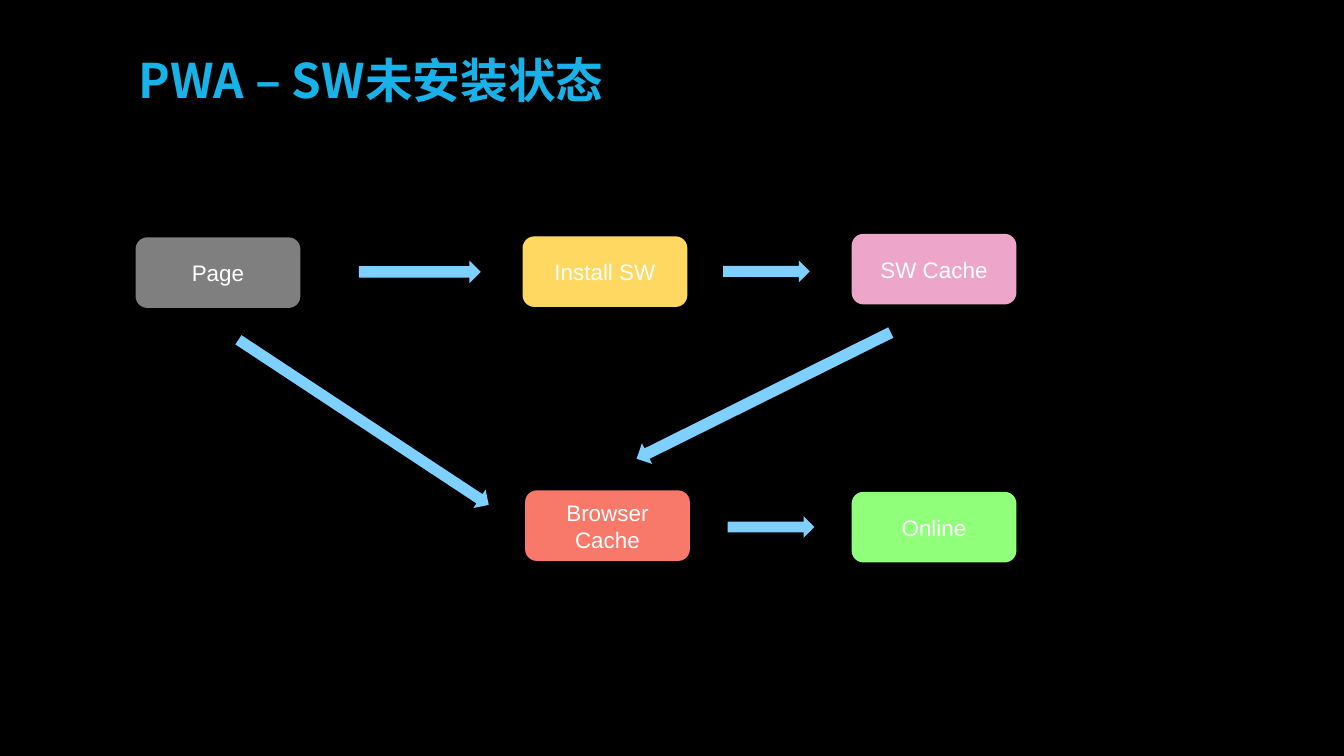
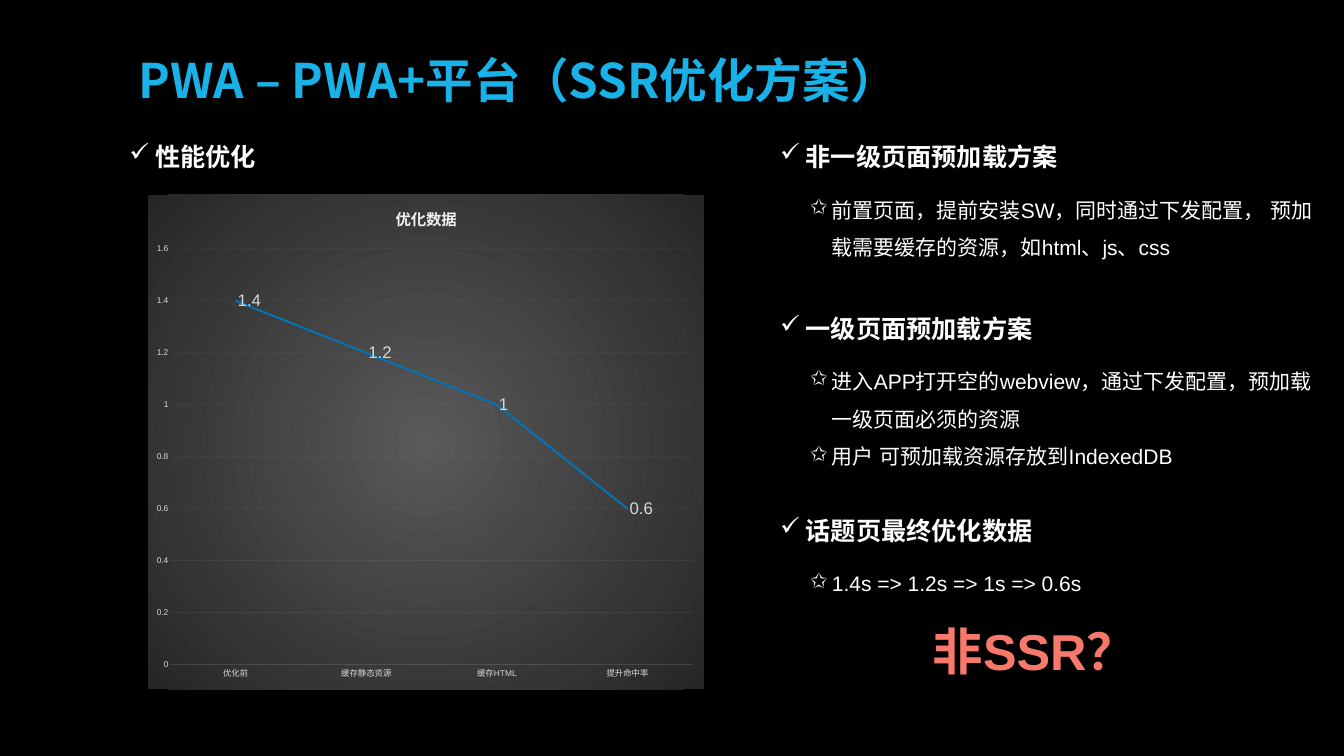
from pptx import Presentation
from pptx.chart.data import CategoryChartData
from pptx.dml.color import RGBColor
from pptx.enum.chart import XL_CHART_TYPE, XL_LABEL_POSITION, XL_TICK_MARK
from pptx.enum.shapes import MSO_SHAPE
from pptx.enum.text import MSO_ANCHOR, PP_ALIGN
from pptx.oxml import parse_xml
from pptx.oxml.ns import nsdecls, qn
from pptx.util import Pt

EMU_PER_PX = 9144
COLORS = {
    "background": "000000", "title": "18B2E8", "text": "FFFFFF",
    "gray": "7F7F7F", "yellow": "FFD862", "pink": "EDA6CA",
    "green": "90FF7A", "coral": "F8786A", "arrow": "7DD0FF",
    "axis": "D9D9D9", "grid": "F2F2F2",
    "chart_center": "595959", "chart_edge": "262626",
    "series_1": "0076BA", "series_2": "00A89D", "series_3": "1DB100",
}
FONTS = {
    "title": {"name": "Noto Sans CJK SC", "size": Pt(68), "bold": True},
    "node": {"name": "Arial", "size": Pt(32)},
    "heading": {"name": "Arial", "size": Pt(36), "bold": True},
    "detail": {"name": "Arial", "size": Pt(30)},
    "question": {"name": "Arial", "size": Pt(72), "bold": True},
    "chart": {"name": "Arial", "size": Pt(10)},
    "chart_title": {"name": "Arial", "size": Pt(22), "bold": True},
    "axis": {"name": "Arial", "size": Pt(12), "bold": False},
    "value": {"name": "Arial", "size": Pt(24)},
}
TIGHT = {"margin_left": 6, "margin_top": 6, "margin_right": 6, "margin_bottom": 6}
ROOMY = {"margin_left": 10, "margin_top": 5, "margin_right": 10, "margin_bottom": 5}
NODE_SIZE = (327, 140)


def px(length):
    return int(length * EMU_PER_PX)


def rgb(color):
    return RGBColor.from_string(COLORS[color])


def apply_format(target, values):
    for attribute, value in values.items():
        setattr(target, attribute, value)


def style_font(font, role, color):
    apply_format(font, FONTS[role])
    font.color.rgb = rgb(color)


def write(paragraph, text, role, color):
    run = paragraph.add_run()
    run.text = text
    style_font(run.font, role, color)
    east_asian = parse_xml(f'<a:ea {nsdecls("a")} typeface="{FONTS[role]["name"]}"/>')
    run.font._element.find(qn("a:latin")).addnext(east_asian)


def prepare_frame(frame, margins, anchor=MSO_ANCHOR.TOP):
    apply_format(frame, {side: px(gap) for side, gap in margins.items()})
    apply_format(frame, {"word_wrap": True, "vertical_anchor": anchor})
    return frame


def add_frame(slide, box, margins, anchor=MSO_ANCHOR.TOP):
    return prepare_frame(slide.shapes.add_textbox(*map(px, box)).text_frame, margins, anchor)


def add_slide(deck, title):
    slide = deck.slides.add_slide(deck.slide_layouts[6])
    slide.background.fill.solid()
    slide.background.fill.fore_color.rgb = rgb("background")
    heading = add_frame(slide, (269, 107, 2128, 143), TIGHT).paragraphs[0]
    heading.line_spacing = 0.9
    write(heading, title, "title", "title")
    return slide


def add_block(slide, preset, box, color):
    block = slide.shapes.add_shape(preset, *map(px, box))
    block.shadow.inherit = False
    block.fill.solid()
    block.fill.fore_color.rgb = rgb(color)
    block.line.fill.background()
    return block


def add_node(slide, label, left, top, color):
    node = add_block(slide, MSO_SHAPE.ROUNDED_RECTANGLE, (left, top, *NODE_SIZE), color)
    line = prepare_frame(node.text_frame, TIGHT, MSO_ANCHOR.MIDDLE).paragraphs[0]
    line.alignment = PP_ALIGN.CENTER
    write(line, label, "node", "text")


def add_arrow(slide, box, rotation=0):
    add_block(slide, MSO_SHAPE.RIGHT_ARROW, box, "arrow").rotation = rotation


def add_bullets(slide, box, texts, symbol, hang, role, spacing):
    frame = add_frame(slide, box, ROOMY)
    for index, text in enumerate(texts):
        item = frame.add_paragraph() if index else frame.paragraphs[0]
        item.line_spacing = spacing
        properties = item._p.get_or_add_pPr()
        properties.set("marL", str(px(hang)))
        properties.set("indent", str(-px(hang)))
        for bullet in (
            f'<a:buClr {nsdecls("a")}><a:srgbClr val="{COLORS["text"]}"/></a:buClr>',
            f'<a:buChar {nsdecls("a")} char="{symbol}"/>',
        ):
            properties.append(parse_xml(bullet))
        write(item, text, role, "text")


def add_heading(slide, text, left, top):
    add_bullets(slide, (left, top, 945, 71), [text], "✓", 51, "heading", 1.0)


def add_topic(slide, heading, details, top, details_height):
    add_heading(slide, heading, 1538, top)
    add_bullets(slide, (1598, top + 85, 1025, details_height), details, "✩", 43, "detail", 1.5)


def style_axis(axis):
    apply_format(axis, {"major_tick_mark": XL_TICK_MARK.NONE, "minor_tick_mark": XL_TICK_MARK.NONE})
    style_font(axis.tick_labels.font, "axis", "axis")


def style_hairline(line):
    line.width = Pt(0.75)
    line.color.rgb = rgb("grid")


def shade_chart(chart):
    stops = "".join(
        f'<a:gs pos="{position}"><a:srgbClr val="{COLORS[color]}"/></a:gs>'
        for position, color in ((0, "chart_center"), (100000, "chart_edge"))
    )
    chart._chartSpace.find(qn("c:chart")).addnext(parse_xml(
        f'<c:spPr {nsdecls("c", "a")}><a:gradFill><a:gsLst>{stops}</a:gsLst>'
        '<a:path path="circle"><a:fillToRect l="50000" t="50000" r="50000" b="50000"/></a:path>'
        '</a:gradFill><a:ln><a:noFill/></a:ln></c:spPr>'
    ))


def place_plot(chart, x, y, w, h):
    plot_area = chart._chartSpace.chart.plotArea
    for layout in plot_area.findall(qn("c:layout")):
        plot_area.remove(layout)
    sizes = "".join(f'<c:{side} val="{share}"/>' for side, share in zip("xywh", (x, y, w, h)))
    plot_area.insert(0, parse_xml(
        f'<c:layout {nsdecls("c")}><c:manualLayout><c:layoutTarget val="inner"/>'
        f'<c:xMode val="edge"/><c:yMode val="edge"/>{sizes}</c:manualLayout></c:layout>'
    ))


def add_load_time_chart(slide):
    load_times = CategoryChartData()
    load_times.categories = ["优化前", "缓存静态资源", "缓存HTML", "提升命中率"]
    load_times.add_series("Series 1", (1.4, 1.2, 1, 0.6))
    for name in ("Series 2", "Series 3"):
        load_times.add_series(name, (1, None, None, None))
    chart = slide.shapes.add_chart(
        XL_CHART_TYPE.LINE, *map(px, (294, 386, 1103, 982)), load_times
    ).chart
    chart.has_legend = False
    style_font(chart.font, "chart", "text")
    chart.has_title = True
    write(chart.chart_title.text_frame.paragraphs[0], "优化数据", "chart_title", "grid")
    chart.chart_title.include_in_layout = False

    stages, seconds = chart.category_axis, chart.value_axis
    for axis in (stages, seconds):
        style_axis(axis)
    apply_format(seconds, {"minimum_scale": 0, "maximum_scale": 1.6, "major_unit": 0.2})
    seconds.format.line.fill.background()
    for line in (stages.format.line, seconds.major_gridlines.format.line):
        style_hairline(line)
    for axis in (stages, seconds):
        for color in axis._element.xpath(".//a:ln//a:srgbClr"):
            color.append(parse_xml(f'<a:alpha {nsdecls("a")} val="10000"/>'))

    plot = chart.plots[0]
    plot.vary_by_categories = False
    for number, series in enumerate(plot.series, 1):
        series.smooth = False
        series.format.line.width = Pt(2.75)
        series.format.line.color.rgb = rgb(f"series_{number}")
    labels = plot.series[0].data_labels
    apply_format(labels, {"show_value": True, "position": XL_LABEL_POSITION.RIGHT})
    style_font(labels.font, "value", "axis")
    shade_chart(chart)
    place_plot(chart, 0.04, 0.11, 0.94, 0.84)


def build_install_flow(deck):
    slide = add_slide(deck, "PWA – SW未安装状态")
    for node in (
        ("Page", 269, 471, "gray"),
        ("Install SW", 1037, 469, "yellow"),
        ("SW Cache", 1690, 464, "pink"),
        ("Online", 1690, 976, "green"),
        ("Browser Cache", 1042, 973, "coral"),
    ):
        add_node(slide, *node)
    add_arrow(slide, (424, 816, 595, 44), 33.4)
    add_arrow(slide, (1234, 762, 563, 46), 153.6)
    for box in ((1435, 517, 172, 43), (1444, 1024, 172, 43), (712, 517, 242, 45)):
        add_arrow(slide, box)


def build_optimization(deck):
    slide = add_slide(deck, "PWA – PWA+平台（SSR优化方案）")
    add_heading(slide, "性能优化", 247, 276)
    add_load_time_chart(slide)
    add_topic(slide, "非一级页面预加载方案", [
        "前置页面，提前安装SW，同时通过下发配置， 预加载需要缓存的资源，如html、js、css",
    ], 276, 241)
    add_topic(slide, "一级页面预加载方案", [
        "进入APP打开空的webview，通过下发配置，预加载一级页面必须的资源",
        "用户 可预加载资源存放到IndexedDB",
    ], 616, 392)
    add_topic(slide, "话题页最终优化数据", ["1.4s => 1.2s => 1s => 0.6s"], 1018, 165)
    question = add_frame(slide, (1440, 1225, 1227, 132), TIGHT, MSO_ANCHOR.MIDDLE).paragraphs[0]
    question.alignment = PP_ALIGN.CENTER
    write(question, "非SSR？", "question", "coral")


def main():
    deck = Presentation()
    deck.slide_width, deck.slide_height = px(2667), px(1500)
    build_install_flow(deck)
    build_optimization(deck)
    deck.save("out.pptx")


if __name__ == "__main__":
    main()
